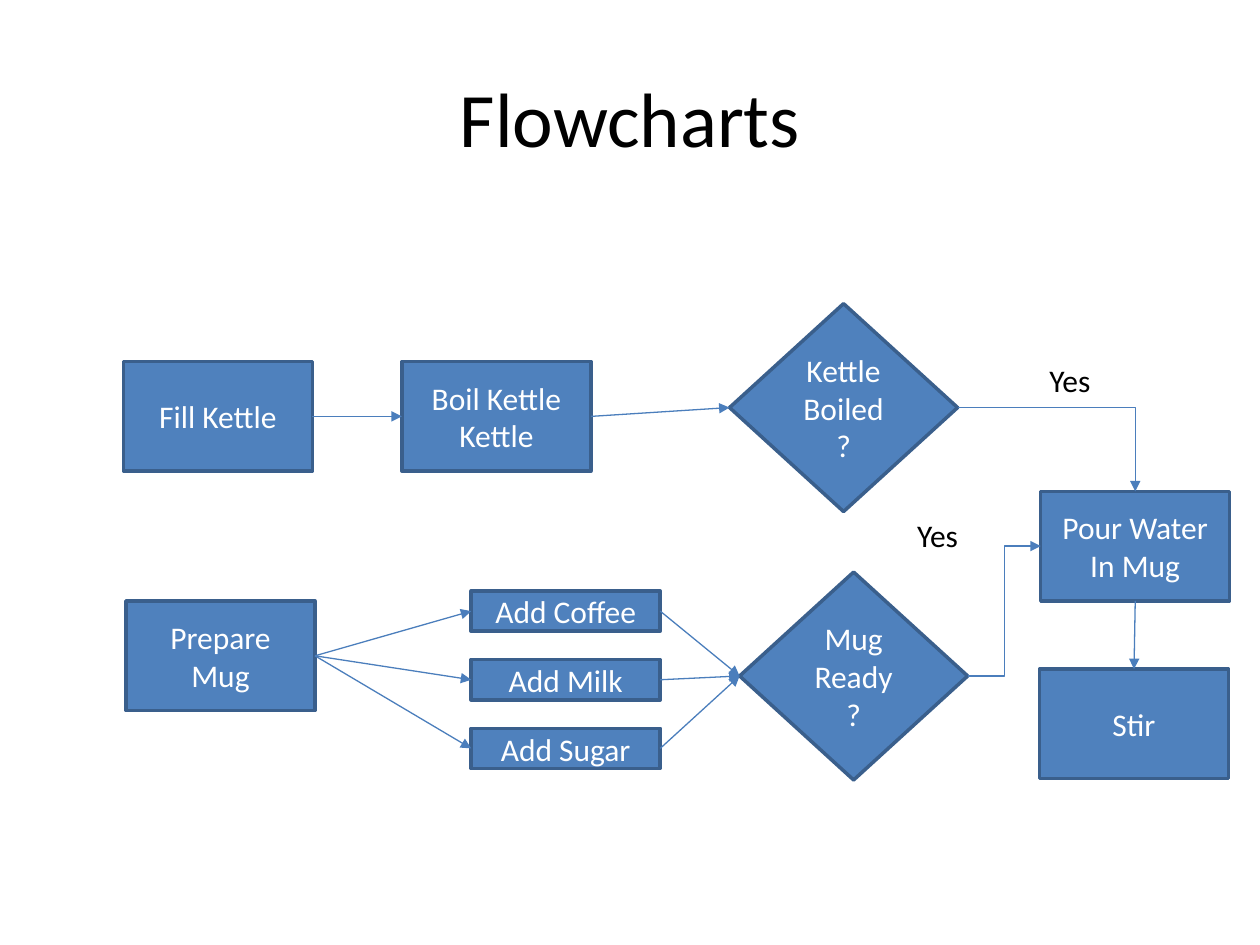
from lxml.etree import SubElement
from pptx import Presentation
from pptx.dml.color import RGBColor
from pptx.enum.shapes import MSO_CONNECTOR, MSO_SHAPE
from pptx.enum.text import MSO_ANCHOR, MSO_AUTO_SIZE, PP_ALIGN
from pptx.oxml.ns import qn
from pptx.util import Inches, Pt

COLOURS = {
    "fill": "4F81BD",
    "outline": "3A5F8C",
    "arrow": "4B7EBC",
    "light": "FFFFFF",
    "dark": "000000",
}
FONT = "Calibri"
TOP, LEFT, BOTTOM, RIGHT = range(4)
STEP = (1.5, 0.87)
INGREDIENT = (1.5, 0.32)
DECISION = (1.81, 1.65)


def colour(name):
    return RGBColor.from_string(COLOURS[name])


def write(text_frame, text, size, colour_name, alignment):
    text_frame.text = text
    for paragraph in text_frame.paragraphs:
        paragraph.alignment = alignment
        paragraph.font.name = FONT
        paragraph.font.size = Pt(size)
        paragraph.font.color.rgb = colour(colour_name)


def add_title(slide, text):
    title = slide.shapes.title
    title.left, title.top = Inches(0.5), Inches(0.3)
    title.width, title.height = Inches(9), Inches(1.25)
    title.text_frame.vertical_anchor = MSO_ANCHOR.MIDDLE
    write(title.text_frame, text, 44, "dark", PP_ALIGN.CENTER)


def add_node(slide, text, left, top, size=STEP, kind=MSO_SHAPE.RECTANGLE):
    shape = slide.shapes.add_shape(
        kind, Inches(left), Inches(top), Inches(size[0]), Inches(size[1]))
    shape.shadow.inherit = False
    shape.fill.solid()
    shape.fill.fore_color.rgb = colour("fill")
    shape.line.color.rgb = colour("outline")
    shape.line.width = Pt(2)
    shape.text_frame.word_wrap = True
    shape.text_frame.vertical_anchor = MSO_ANCHOR.MIDDLE
    write(shape.text_frame, text, 18, "light", PP_ALIGN.CENTER)
    return shape


def add_decision(slide, text, left, top):
    return add_node(slide, text, left, top, DECISION, MSO_SHAPE.DIAMOND)


def add_arrow(slide, start, end, start_side=RIGHT, end_side=LEFT,
              kind=MSO_CONNECTOR.STRAIGHT):
    connector = slide.shapes.add_connector(kind, 0, 0, 0, 0)
    connector.begin_connect(start, start_side)
    connector.end_connect(end, end_side)
    connector.line.color.rgb = colour("arrow")
    connector.line.width = Pt(0.75)
    properties = connector._element.spPr
    SubElement(properties.find(qn("a:ln")), qn("a:tailEnd"), type="triangle")
    SubElement(properties, qn("a:effectLst"))
    # An elbow that enters from above has a single bend
    if kind == MSO_CONNECTOR.ELBOW and end_side == TOP:
        properties.find(qn("a:prstGeom")).set("prst", "bentConnector2")


def add_label(slide, text, left, top):
    label = slide.shapes.add_textbox(
        Inches(left), Inches(top), Inches(0.54), Inches(0.4))
    label.text_frame.word_wrap = False
    label.text_frame.auto_size = MSO_AUTO_SIZE.SHAPE_TO_FIT_TEXT
    write(label.text_frame, text, 18, "dark", PP_ALIGN.LEFT)


def main():
    presentation = Presentation()
    presentation.slide_width = Inches(10)
    presentation.slide_height = Inches(7.5)
    slide = presentation.slides.add_slide(presentation.slide_layouts[5])
    add_title(slide, "Flowcharts")

    # Kettle branch
    fill_kettle = add_node(slide, "Fill Kettle", 0.98, 2.87)
    boil_kettle = add_node(slide, "Boil Kettle Kettle", 3.19, 2.87)
    kettle_boiled = add_decision(slide, "Kettle\nBoiled?", 5.79, 2.41)
    add_arrow(slide, fill_kettle, boil_kettle)
    add_arrow(slide, boil_kettle, kettle_boiled)

    # Mug branch
    prepare_mug = add_node(slide, "Prepare Mug", 1, 4.77)
    mug_ready = add_decision(slide, "Mug\nReady?", 5.87, 4.54)
    for index, name in enumerate(("Coffee", "Milk", "Sugar")):
        ingredient = add_node(
            slide, f"Add {name}", 3.74, 4.69 + index * 0.545, INGREDIENT)
        add_arrow(slide, prepare_mug, ingredient)
        add_arrow(slide, ingredient, mug_ready)

    # Both branches meet
    pour_water = add_node(slide, "Pour Water In Mug", 8.26, 3.9)
    stir = add_node(slide, "Stir", 8.25, 5.31)
    add_arrow(slide, kettle_boiled, pour_water, end_side=TOP,
              kind=MSO_CONNECTOR.ELBOW)
    add_arrow(slide, mug_ready, pour_water, kind=MSO_CONNECTOR.ELBOW)
    add_arrow(slide, pour_water, stir, BOTTOM, TOP)
    add_label(slide, "Yes", 8.23, 2.82)
    add_label(slide, "Yes", 7.18, 4.05)

    presentation.save("out.pptx")


if __name__ == "__main__":
    main()
